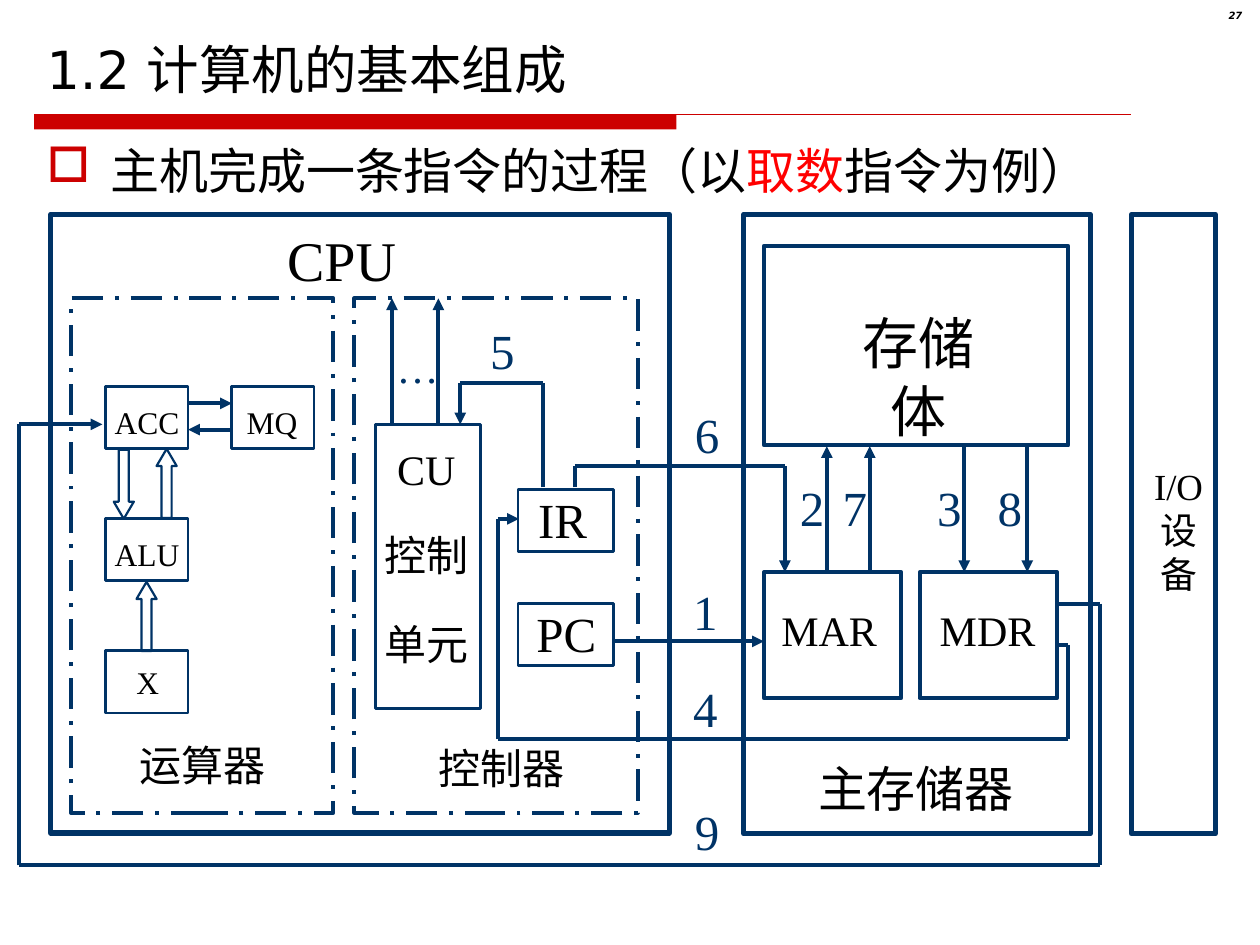
"""Builds the slide on how a computer executes a load instruction."""
import dataclasses

import lxml.etree
import pptx
import pptx.dml.color
import pptx.enum.dml
import pptx.enum.shapes
import pptx.enum.text
import pptx.oxml.ns
import pptx.util

Pt = pptx.util.Pt
RGB = pptx.dml.color.RGBColor.from_string
SHAPE = pptx.enum.shapes.MSO_SHAPE
ALIGN = pptx.enum.text.PP_ALIGN
ANCHOR = pptx.enum.text.MSO_ANCHOR
qn = pptx.oxml.ns.qn


@dataclasses.dataclass(frozen=True)
class Theme:
    """Colours, fonts, type sizes and line weights."""
    ink: str = "000000"
    navy: str = "003366"
    accent: str = "CC0000"
    highlight: str = "FF0000"
    sans: str = "DejaVu Sans"
    serif: str = "Times New Roman"
    han: str = "Lato"
    page: float = 5.7
    register: float = 18
    device: float = 21
    unit: float = 24
    step: float = 28
    title: float = 30
    block: float = 32
    hairline: float = 0.75
    outline: float = 1.25
    thin: float = 1.64
    medium: float = 2.25
    thick: float = 3


@dataclasses.dataclass(frozen=True)
class Box:
    """A region in points."""
    left: float
    top: float
    width: float
    height: float

    def inner(self, left, top, width, height):
        """Return a box offset from this one."""
        return Box(self.left + left, self.top + top, width, height)

    def lengths(self):
        """Return the four sides as slide lengths."""
        return [Pt(side) for side in dataclasses.astuple(self)]


THEME = Theme()
INSET = (7.2, 3.6)


def apply(target, values):
    """Set each attribute named in a dict of format values."""
    for name, value in values.items():
        setattr(target, name, value)


def add_run(paragraph, text, size, font, color=THEME.ink, **extra):
    """Append one formatted run."""
    run = paragraph.add_run()
    run.text = text
    apply(run.font, {"size": Pt(size), "name": font, **extra})
    run.font.color.rgb = RGB(color)


def add_frame(slide, box, wrap=True, inset=(0, 0), anchor=ANCHOR.TOP):
    """Add an empty text box and return its text frame."""
    frame = slide.shapes.add_textbox(*box.lengths()).text_frame
    across, down = map(Pt, inset)
    apply(frame, {"word_wrap": wrap, "vertical_anchor": anchor,
                  "margin_left": across, "margin_right": across,
                  "margin_top": down, "margin_bottom": down})
    return frame


def add_label(slide, box, text, size, font=THEME.serif, color=THEME.ink,
              align=ALIGN.LEFT, wrap=True, inset=(0, 0)):
    """Add a label with one paragraph per line of text."""
    frame = add_frame(slide, box, wrap, inset)
    for index, line in enumerate(text.split("\n")):
        paragraph = frame.add_paragraph() if index else frame.paragraphs[0]
        paragraph.alignment = align
        add_run(paragraph, line, size, font, color)


def add_outline(slide, box, weight, kind=SHAPE.RECTANGLE, dash=None):
    """Add an unfilled navy shape."""
    shape = slide.shapes.add_shape(kind, *box.lengths())
    shape.shadow.inherit = False
    shape.fill.background()
    shape.line.color.rgb = RGB(THEME.navy)
    apply(shape.line, {"width": Pt(weight), "dash_style": dash})
    return shape


def add_line(slide, start, end, color=THEME.navy, weight=THEME.medium, arrow=True):
    """Add a straight line, with an arrowhead at its end if asked."""
    line = slide.shapes.add_connector(
        pptx.enum.shapes.MSO_CONNECTOR.STRAIGHT, *map(Pt, (*start, *end)))
    line.line.color.rgb = RGB(color)
    line.line.width = Pt(weight)
    properties = line._element.spPr
    if arrow:
        lxml.etree.SubElement(properties.find(qn("a:ln")), qn("a:tailEnd"), type="triangle")
    lxml.etree.SubElement(properties, qn("a:effectLst"))


def add_route(slide, box, points):
    """Join points within a box by lines, the last one ending in an arrow."""
    stops = [(box.left + x, box.top + y) for x, y in points]
    for index, (start, end) in enumerate(zip(stops, stops[1:]), 2):
        add_line(slide, start, end, arrow=index == len(stops))


def add_heading(slide, box):
    """Place the title, its rule and the page number."""
    title = add_frame(slide, box.inner(0, 0, 680.5, 51), inset=INSET, anchor=ANCHOR.BOTTOM)
    add_run(title.paragraphs[0], "1.2 计算机的基本组成", THEME.title, THEME.sans)
    rule = box.inner(0, 56, 367, 8.5)
    bar = slide.shapes.add_shape(SHAPE.RECTANGLE, *rule.lengths())
    bar.shadow.inherit = False
    bar.fill.solid()
    bar.fill.fore_color.rgb = RGB(THEME.accent)
    bar.line.fill.background()
    add_line(slide, (rule.left, rule.top), (rule.left + 627, rule.top),
             THEME.accent, THEME.hairline, arrow=False)
    number = add_frame(slide, box.inner(655, -6, 42.5, 16.5), inset=INSET).paragraphs[0]
    apply(number, {"alignment": ALIGN.RIGHT, "line_spacing": 0.8})
    add_run(number, "27", THEME.page, THEME.sans, bold=True, italic=True)


def add_topic(slide, box):
    """Place the bulleted topic line."""
    topic = add_frame(slide, box, inset=INSET).paragraphs[0]
    properties = topic._p.get_or_add_pPr()
    hang = Pt(36.5)
    properties.attrib.update({"marL": str(hang), "indent": str(-hang)})
    bullet_color = lxml.etree.SubElement(properties, qn("a:buClr"))
    lxml.etree.SubElement(bullet_color, qn("a:srgbClr"), val=THEME.accent)
    lxml.etree.SubElement(properties, qn("a:buChar"), char="□")
    for text, color in (("主机完成一条指令的过程（以", THEME.ink),
                        ("取数", THEME.highlight), ("指令为例）", THEME.ink)):
        add_run(topic, text, THEME.step, THEME.sans, color)


def add_arithmetic_unit(slide, box):
    """Place the arithmetic unit with its registers and data arrows."""
    add_outline(slide, box, THEME.medium, dash=pptx.enum.dml.MSO_LINE.LONG_DASH_DOT)
    for name, column, row, indent, drop in (("ACC", 0, 0, 5, 9.5), ("MQ", 1, 0, 8.5, 9.5),
                                            ("ALU", 0, 1, 5, 9), ("X", 0, 2, 17.5, 7)):
        register = box.inner(20 + 72 * column, 50.5 + 75.5 * row, 47, 35.5)
        add_outline(slide, register, THEME.thin)
        add_label(slide, register.inner(indent, drop, 47, 21.5), name, THEME.register)
    for kind, left, top in ((SHAPE.DOWN_ARROW, 24.5, 86.5), (SHAPE.UP_ARROW, 49, 86),
                            (SHAPE.UP_ARROW, 37.5, 162)):
        arrow = add_outline(slide, box.inner(left, top, 11.5, 39.5), THEME.outline, kind)
        arrow.adjustments[1] = 0.85
    add_route(slide, box, [(67, 60), (92, 60)])
    add_route(slide, box, [(92, 75), (67, 75)])
    add_label(slide, box.inner(39.5, 252, 98, 29), "运算器", THEME.unit, THEME.han)


def add_control_unit(slide, box):
    """Place the control unit with CU, IR, PC and its control lines."""
    add_outline(slide, box, THEME.medium, dash=pptx.enum.dml.MSO_LINE.LONG_DASH_DOT)
    add_outline(slide, box.inner(12, 72, 60, 162.5), THEME.thin)
    for text, left, top, width, font in (("CU", 24.5, 83, 71, THEME.serif),
                                         ("控制", 17, 132, 74, THEME.han),
                                         ("单元", 17, 183, 65, THEME.han),
                                         ("控制器", 48, 253.5, 102, THEME.han)):
        add_label(slide, box.inner(left, top, width, 29), text, THEME.unit, font)
    for name, top, indent in (("IR", 109, 11.5), ("PC", 174.5, 10.5)):
        register = box.inner(93.5, top, 54.5, 35.5)
        add_outline(slide, register, THEME.thin)
        add_label(slide, register.inner(indent, 0, 78, 34), name, THEME.step)
    for x in (21.5, 48):
        add_route(slide, box, [(x, 72), (x, 0)])
    add_label(slide, box.inner(17, 21, 38, 36), "…", THEME.unit, color=THEME.navy,
              wrap=False, inset=INSET)


def add_cpu(slide, box):
    """Place the CPU with its two units."""
    add_outline(slide, box, THEME.thick)
    add_label(slide, box.inner(135, 6.5, 62.5, 38), "CPU", THEME.block,
              align=ALIGN.CENTER, wrap=False)
    add_arithmetic_unit(slide, box.inner(11.5, 48, 150, 294))
    add_control_unit(slide, box.inner(173.5, 48, 162, 294))


def add_memory(slide, box):
    """Place the main memory with its store, MAR and MDR."""
    add_outline(slide, box, THEME.thick)
    add_outline(slide, box.inner(11.5, 18, 174, 114), THEME.medium)
    add_label(slide, box.inner(45, 50.5, 110, 46), "存储体", THEME.block, THEME.han,
              align=ALIGN.CENTER, wrap=False, inset=INSET)
    for name, left, indent in (("MAR", 11.5, 10), ("MDR", 100.5, 11.5)):
        register = box.inner(left, 204.5, 78.5, 72)
        add_outline(slide, register, THEME.medium)
        add_label(slide, register.inner(indent, 18.5, 75, 29), name, THEME.unit)
    add_label(slide, box.inner(42.5, 311, 133, 34), "主存储器", THEME.step, THEME.han)


def add_devices(slide, box):
    """Place the I/O device column."""
    add_outline(slide, box, THEME.thick)
    add_label(slide, box.inner(13, 142.5, 28, 75.5), "I/O\n设\n备", THEME.device,
              align=ALIGN.CENTER, wrap=False)


def add_steps(slide, box):
    """Place the numbered transfers between the units."""
    store, registers = 132.5, 204.5
    steps = (
        ((378, 206), [(340.5, 244), (425.5, 244)]),
        ((439, 147), [(461.5, registers), (461.5, store)]),
        ((517.5, 147), [(540, store), (540, registers)]),
        ((378, 261.5), [(594, 246), (599.5, 246), (599.5, 300), (273.5, 300),
                        (273.5, 174), (285.5, 174)]),
        ((262, 57), [(299.5, 156), (299.5, 96.5), (252, 96.5), (252, 120)]),
        ((379, 105), [(317.5, 156), (317.5, 144), (437.5, 144), (437.5, registers)]),
        ((463.5, 147), [(486, registers), (486, store)]),
        ((552, 147), [(576, store), (576, registers)]),
        ((379, 332), [(594, 222.5), (617.5, 222.5), (617.5, 372), (0, 372),
                      (0, 120), (47.5, 120)]),
    )
    for number, (place, points) in enumerate(steps, 1):
        add_route(slide, box, points)
        add_label(slide, box.inner(*place, 28, 41), str(number), THEME.step,
                  color=THEME.navy, align=ALIGN.CENTER, wrap=False, inset=INSET)


def main():
    """Build and save the slide."""
    deck = pptx.Presentation()
    apply(deck, {"slide_width": Pt(720), "slide_height": Pt(540)})
    slide = deck.slides.add_slide(deck.slide_layouts[6])
    add_heading(slide, Box(19.5, 9.5, 680.5, 64.5))
    add_topic(slide, Box(19.5, 77, 680.5, 51))
    add_steps(slide, Box(11, 122.5, 683.5, 372))
    add_memory(slide, Box(425, 122.5, 198, 354))
    add_cpu(slide, Box(29, 122.5, 353.5, 353.5))
    add_devices(slide, Box(646.5, 122.5, 48, 354))
    deck.save("out.pptx")


if __name__ == "__main__":
    main()
